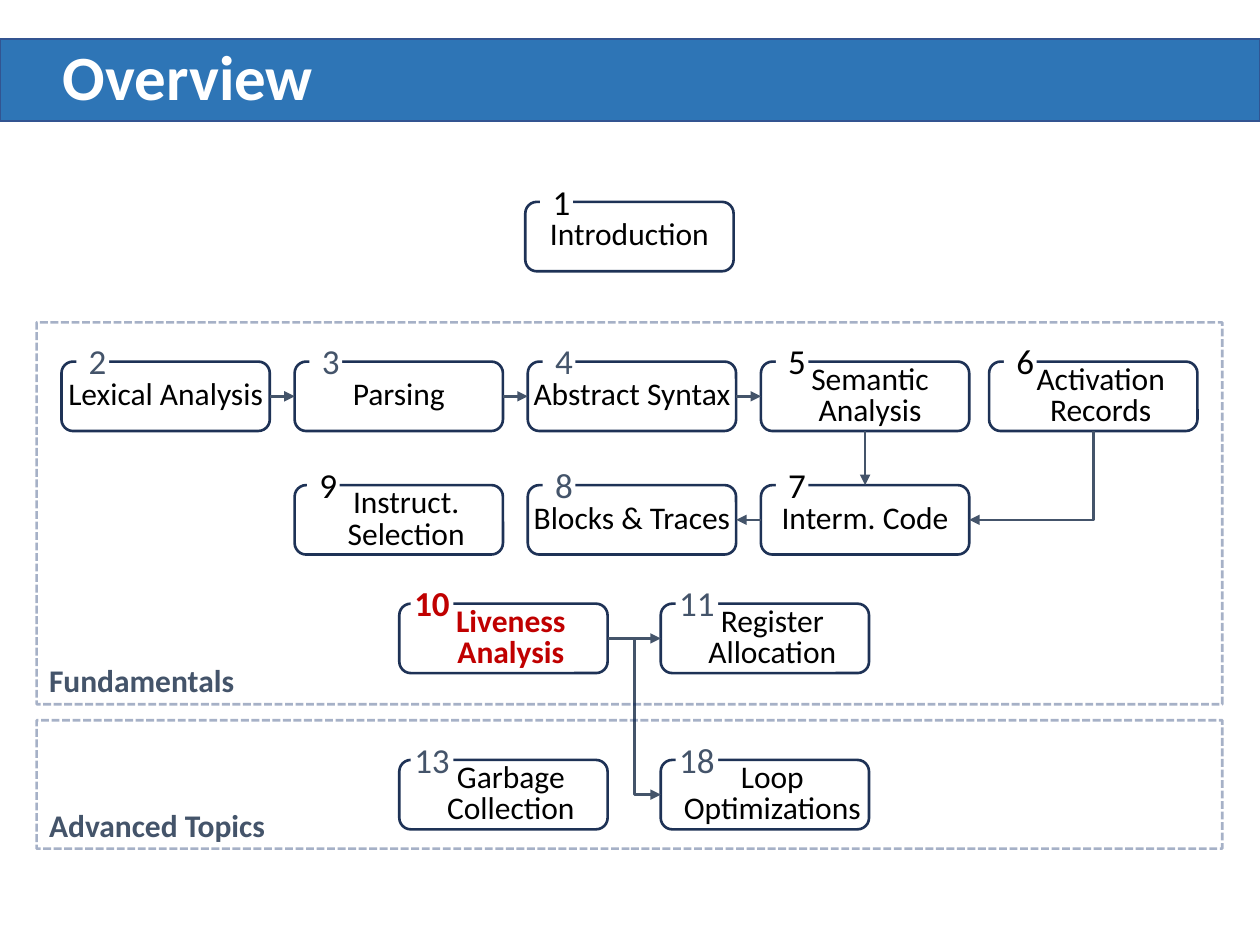
from dataclasses import dataclass

from lxml.etree import SubElement
from pptx import Presentation
from pptx.dml.color import RGBColor
from pptx.enum.dml import MSO_LINE
from pptx.enum.shapes import MSO_CONNECTOR, MSO_SHAPE
from pptx.enum.text import MSO_ANCHOR, PP_ALIGN
from pptx.oxml.ns import qn
from pptx.util import Cm, Pt


@dataclass(frozen=True)
class Theme:
    font: str = "Calibri"
    white: str = "FFFFFF"
    black: str = "000000"
    slate: str = "44546A"
    red: str = "C00000"
    bar: str = "2E75B6"
    bar_edge: str = "325491"
    box_edge: str = "1E3256"
    frame: str = "002060"
    title_size: int = 36
    number_size: int = 20
    text_size: int = 18
    line_width: float = 1.5


THEME = Theme()
TOP, LEFT, BOTTOM, RIGHT = range(4)
BOX_WIDTH, BOX_HEIGHT = 4.2, 1.4

# Grid in centimetres
COLUMNS = [1.24 + 4.7 * step for step in range(4)] + [19.94]
ROWS = [7.29, 9.78, 12.17, 15.32]
LOWER_COLUMNS = [8.05, 13.32]

# number, topic, left, top, number colour, left inset, number offset
TOPICS = [
    (1, "Introduction", 10.59, 4.07, THEME.black, 0, 0.3),
    (2, "Lexical Analysis", COLUMNS[0], ROWS[0], THEME.slate, 0, 0.3),
    (3, "Parsing", COLUMNS[1], ROWS[0], THEME.slate, 0, 0.3),
    (4, "Abstract Syntax", COLUMNS[2], ROWS[0], THEME.slate, 0, 0.3),
    (5, "Semantic Analysis", COLUMNS[3], ROWS[0], THEME.black, 0.2, 0.3),
    (6, "Activation Records", COLUMNS[4], ROWS[0], THEME.black, 0.3, 0.3),
    (7, "Interm. Code", COLUMNS[3], ROWS[1], THEME.black, 0, 0.3),
    (8, "Blocks & Traces", COLUMNS[2], ROWS[1], THEME.slate, 0, 0.3),
    (9, "Instruct. Selection", COLUMNS[1], ROWS[1], THEME.black, 0.3, 0.25),
    (10, "Liveness Analysis", LOWER_COLUMNS[0], ROWS[2], THEME.red, 0.3, 0.23),
    (11, "Register Allocation", LOWER_COLUMNS[1], ROWS[2], THEME.slate, 0.3, 0.3),
    (13, "Garbage Collection", LOWER_COLUMNS[0], ROWS[3], THEME.slate, 0.3, 0.23),
    (18, "Loop Optimizations", LOWER_COLUMNS[1], ROWS[3], THEME.slate, 0.3, 0.3),
]
CURRENT = 10

# from topic, side, to topic, side
ARROWS = [
    (2, RIGHT, 3, LEFT),
    (3, RIGHT, 4, LEFT),
    (4, RIGHT, 5, LEFT),
    (5, BOTTOM, 7, TOP),
    (7, LEFT, 8, RIGHT),
    (10, RIGHT, 11, LEFT),
]

# label, frame top, frame height, label top
SECTIONS = [
    ("Fundamentals", 6.5, 7.7, 13.2),
    ("Advanced Topics", 14.52, 2.59, 16.13),
]


def color(value):
    return RGBColor.from_string(value)


def write(shape, text, size, ink, bold=False, align=PP_ALIGN.LEFT, spacing=None):
    frame = shape.text_frame
    frame.word_wrap = True
    frame.text = text
    para = frame.paragraphs[0]
    para.alignment = align
    para.line_spacing = spacing
    span = para.runs[0]
    span.font.name = THEME.font
    span.font.size = Pt(size)
    span.font.bold = bold
    span.font.color.rgb = color(ink)
    return frame


def add_box(page, kind, left, top, width, height, fill=None, edge=None,
            weight=THEME.line_width):
    box = page.shapes.add_shape(kind, Cm(left), Cm(top), Cm(width), Cm(height))
    box.shadow.inherit = False
    if fill:
        box.fill.solid()
        box.fill.fore_color.rgb = color(fill)
    else:
        box.fill.background()
    if edge:
        box.line.color.rgb = color(edge)
        box.line.width = Pt(weight)
    else:
        box.line.fill.background()
    return box


def add_text(page, text, left, top, width, height, size, ink, spacing=None):
    box = page.shapes.add_textbox(Cm(left), Cm(top), Cm(width), Cm(height))
    return write(box, text, size, ink, bold=True, spacing=spacing)


def add_topic(page, number, topic, left, top, ink, inset, offset):
    current = number == CURRENT
    box = add_box(page, MSO_SHAPE.ROUNDED_RECTANGLE, left, top,
                  BOX_WIDTH, BOX_HEIGHT, edge=THEME.box_edge)
    frame = write(box, topic, THEME.text_size, THEME.red if current else THEME.black,
                  current, PP_ALIGN.CENTER, Pt(18))
    frame.vertical_anchor = MSO_ANCHOR.MIDDLE
    frame.margin_left = Cm(inset)
    frame.margin_top = frame.margin_right = frame.margin_bottom = 0

    # The number sits on a white patch over the top edge
    wide = number > 9
    patch = add_box(page, MSO_SHAPE.RECTANGLE, left + offset, top - 0.41,
                    0.86 if wide else 0.66, 0.79, fill=THEME.white)
    frame = write(patch, str(number), THEME.number_size, ink, current, PP_ALIGN.CENTER)
    frame.vertical_anchor = MSO_ANCHOR.MIDDLE
    if wide:
        frame.margin_left = frame.margin_right = 0
    return box


def add_arrow(page, kind=MSO_CONNECTOR.STRAIGHT):
    arrow = page.shapes.add_connector(kind, 0, 0, 0, 0)
    arrow.line.color.rgb = color(THEME.slate)
    arrow.line.width = Pt(THEME.line_width)
    SubElement(arrow.line._get_or_add_ln(), qn("a:tailEnd"), type="triangle")
    SubElement(arrow._element.spPr, qn("a:effectLst"))
    return arrow


def add_elbow(page, start, end, target, side, source=None):
    """Arrow that first runs down from start, then sideways to end."""
    arrow = add_arrow(page, MSO_CONNECTOR.ELBOW)
    if source:
        arrow.begin_connect(source, BOTTOM)
    arrow.end_connect(target, side)
    (x1, y1), (x2, y2) = start, end
    drop, run = y2 - y1, abs(x2 - x1)
    # The one-bend preset runs sideways first, so it is turned about its centre
    arrow.left, arrow.top = Cm((x1 + x2 - drop) / 2), Cm((y1 + y2 - run) / 2)
    arrow.width, arrow.height = Cm(drop), Cm(run)
    properties = arrow._element.spPr
    properties.find(qn("a:prstGeom")).set("prst", "bentConnector2")
    transform = properties.find(qn("a:xfrm"))
    for name in ("flipH", "flipV"):
        transform.attrib.pop(name, None)
    transform.set("rot", str((270 if x2 > x1 else 90) * 60000))
    if x2 > x1:
        transform.set("flipH", "1")


def add_section(page, label, top, height, label_top):
    frame = add_box(page, MSO_SHAPE.RECTANGLE, 0.74, top, 23.9, height, edge=THEME.frame)
    frame.line.dash_style = MSO_LINE.SQUARE_DOT
    ink = frame.line._get_or_add_ln().find(".//" + qn("a:srgbClr"))
    SubElement(ink, qn("a:alpha"), val="35000")
    add_text(page, label, 0.74, label_top, 12.7, 1.02, THEME.text_size, THEME.slate)


def main():
    deck = Presentation()
    deck.slide_width, deck.slide_height = Cm(25.4), Cm(19.05)
    page = deck.slides.add_slide(deck.slide_layouts[6])

    # Title bar
    add_box(page, MSO_SHAPE.RECTANGLE, 0, 0.79, 25.4, 1.65, THEME.bar, THEME.bar_edge, 1)
    title = add_text(page, "Overview", 1.02, 0.79, 23.47, 1.65,
                     THEME.title_size, THEME.white, 0.9)
    title.vertical_anchor = MSO_ANCHOR.MIDDLE

    # Topics
    boxes = {topic[0]: add_topic(page, *topic) for topic in TOPICS}

    # Arrows
    for source, source_side, target, target_side in ARROWS:
        arrow = add_arrow(page)
        arrow.begin_connect(boxes[source], source_side)
        arrow.end_connect(boxes[target], target_side)
    half = BOX_HEIGHT / 2
    add_elbow(page, (COLUMNS[4] + BOX_WIDTH / 2, ROWS[0] + BOX_HEIGHT),
              (COLUMNS[3] + BOX_WIDTH, ROWS[1] + half), boxes[7], RIGHT, boxes[6])
    fork = (LOWER_COLUMNS[0] + BOX_WIDTH + LOWER_COLUMNS[1]) / 2
    add_elbow(page, (fork, ROWS[2] + half), (LOWER_COLUMNS[1], ROWS[3] + half),
              boxes[18], LEFT)

    # Sections
    for section in SECTIONS:
        add_section(page, *section)

    deck.save("out.pptx")


if __name__ == "__main__":
    main()
